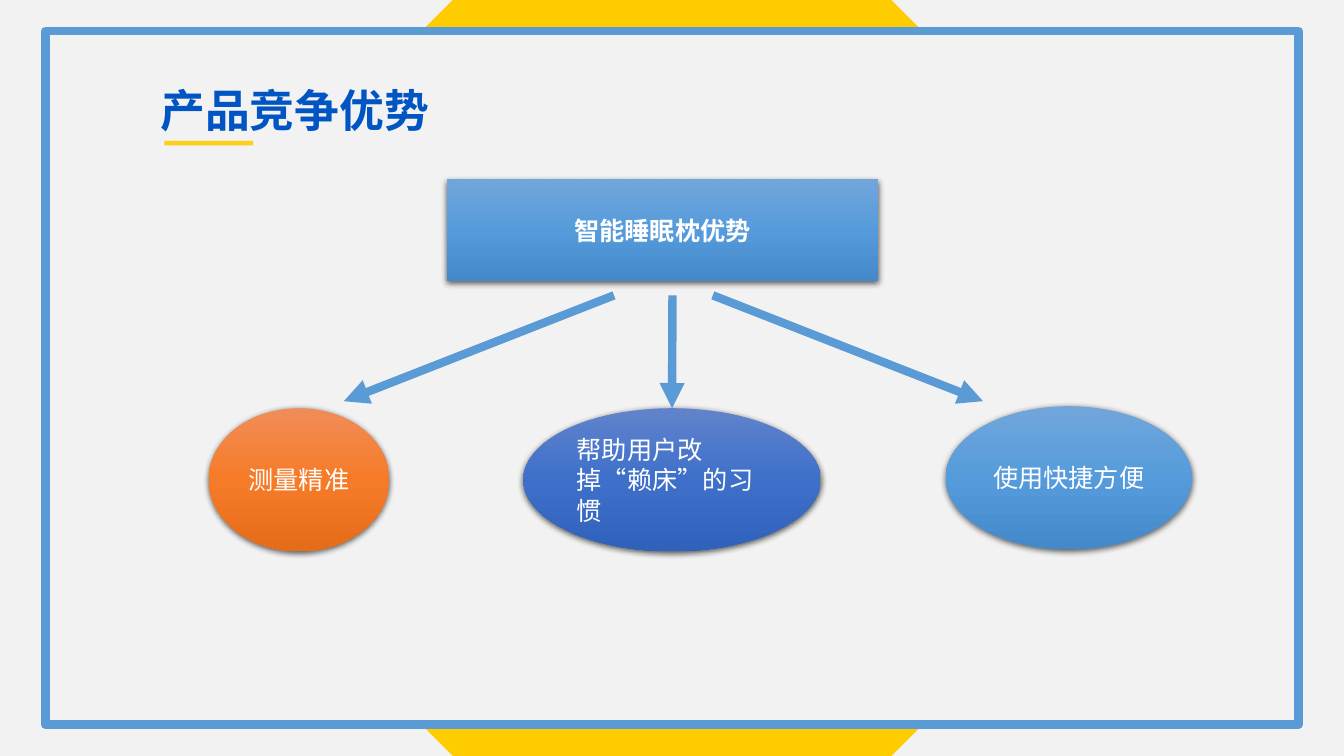
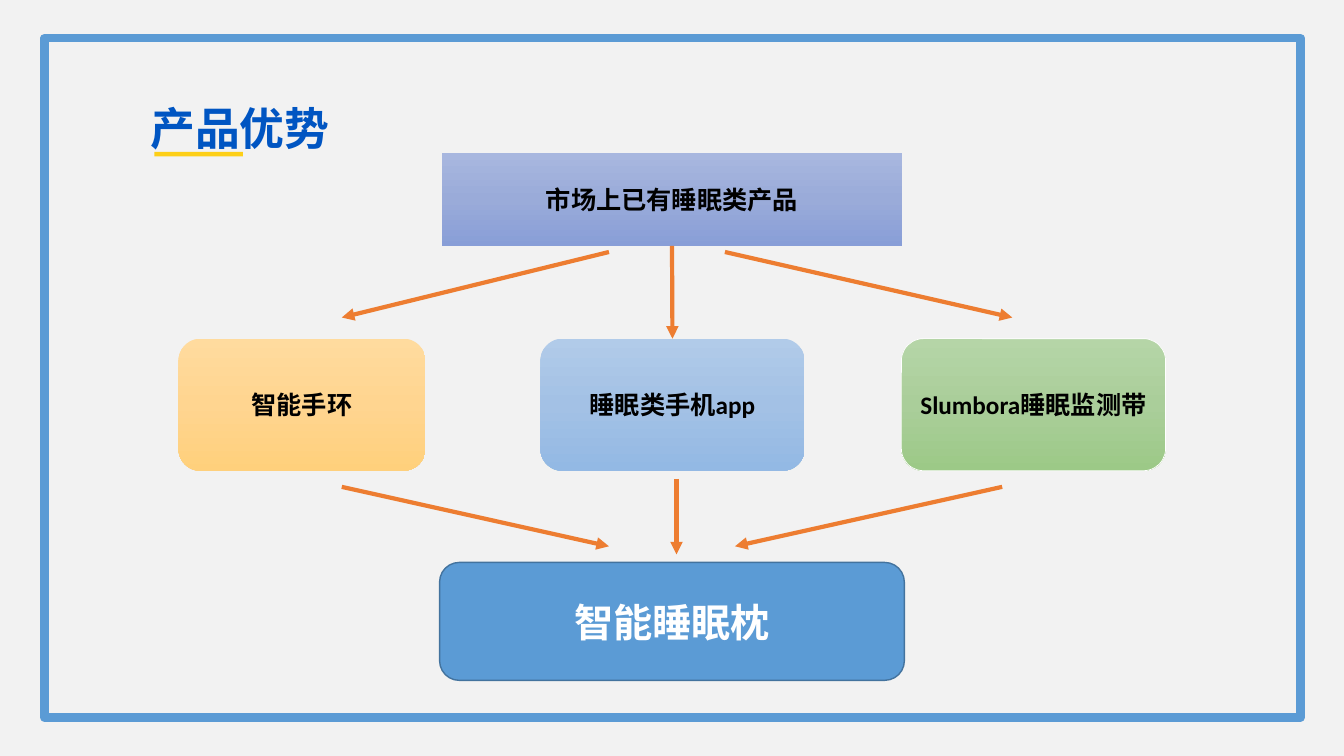
from copy import deepcopy

from lxml import etree
from pptx import Presentation
from pptx.dml.color import RGBColor
from pptx.enum.shapes import MSO_CONNECTOR, MSO_SHAPE
from pptx.enum.text import MSO_ANCHOR, PP_ALIGN
from pptx.oxml.ns import qn
from pptx.util import Inches, Pt

RECT = MSO_SHAPE.RECTANGLE
ROUND = MSO_SHAPE.ROUNDED_RECTANGLE
OVAL = MSO_SHAPE.OVAL
STRAIGHT = MSO_CONNECTOR.STRAIGHT
MIDDLE = MSO_ANCHOR.MIDDLE
LEFT, CENTER = PP_ALIGN.LEFT, PP_ALIGN.CENTER
TOP_SITE, BOTTOM_SITE = 0, 2

LATIN, CJK = "Calibri", "Noto Sans CJK SC"
COLORS = {
    "paper": "F2F2F2",
    "yellow": "FFCC00",
    "blue": "5B9BD5",
    "blue_edge": "43739E",
    "title": "0055C2",
    "orange": "ED7D31",
    "white": "FFFFFF",
    "black": "000000",
}
GRADIENTS = {
    "vivid_orange": ("F18C57", "F67B28", "E56C19"),
    "vivid_navy": ("6183CB", "3E70CA", "3062BB"),
    "vivid_blue": ("71A6DB", "559BDB", "448ACA"),
    "soft_gold": ("FFDB9E", "FFD590", "FFD07C"),
    "soft_blue": ("B1CBE9", "A3C1E5", "93B9E4"),
    "soft_green": ("B5D5A7", "AACE9A", "9CC987"),
    "soft_navy": ("A8B7DF", "9AABD9", "889ED7"),
}


def rgb(name):
    """Return the palette colour with this name."""
    return RGBColor.from_string(COLORS[name])


def add_child(parent, tag, **attributes):
    """Append a DrawingML element to the parent."""
    return etree.SubElement(parent, qn(tag), attributes)


def paint(shape, fill, edge=None, width=1):
    """Give a shape a flat or graded fill and an optional outline."""
    shape.shadow.inherit = False
    if fill in GRADIENTS:
        shape.fill.gradient()
        shape.fill.gradient_angle = 270
        stops = next(shape._element.spPr.iter(qn("a:gsLst")))
        stops.append(deepcopy(stops[0]))
        for index, stop in enumerate(shape.fill.gradient_stops):
            stop.color.rgb = RGBColor.from_string(GRADIENTS[fill][index])
            stop.position = index / 2
    else:
        shape.fill.solid()
        shape.fill.fore_color.rgb = rgb(fill)
    if edge:
        shape.line.color.rgb = rgb(edge)
        shape.line.width = Pt(width)
    else:
        shape.line.fill.background()


def add_shadow(shape):
    """Drop a soft black shadow below a shape."""
    effects = shape._element.spPr.find(qn("a:effectLst"))
    shadow = add_child(effects, "a:outerShdw", blurRad=str(Pt(4.5)),
                       dist=str(Pt(1.5)), dir="5400000", rotWithShape="0")
    color = add_child(shadow, "a:srgbClr", val=COLORS["black"])
    add_child(color, "a:alpha", val="63000")


def write(shape, text, color, size=18, bold=True, align=CENTER, latin=LATIN):
    """Put one vertically centred paragraph into a shape."""
    frame = shape.text_frame
    frame.word_wrap = True
    frame.vertical_anchor = MIDDLE
    para = frame.paragraphs[0]
    para.text = text
    para.alignment = align
    para.font.size = Pt(size)
    para.font.bold = bold
    para.font.name = latin
    para.font.color.rgb = rgb(color)
    add_child(para._p.pPr.find(qn("a:defRPr")), "a:ea", typeface=CJK)
    return para


def add_node(page, kind, bounds, fill, edge=None, width=1):
    """Add a painted preset shape."""
    node = page.shapes.add_shape(kind, *map(Inches, bounds))
    paint(node, fill, edge, width)
    return node


def add_line(page, start, end, color, width):
    """Add a straight line without shadow."""
    line = page.shapes.add_connector(STRAIGHT, *map(Inches, start + end))
    line.line.color.rgb = rgb(color)
    line.line.width = Pt(width)
    add_child(line._element.spPr, "a:effectLst")
    return line


def add_arrow(page, start, end, color, width):
    """Add a line with a triangle at its end."""
    arrow = add_line(page, start, end, color, width)
    add_child(arrow.line._get_or_add_ln(), "a:tailEnd", type="triangle")
    return arrow


def add_title(page, text, left, top, underline_y):
    """Add the slide title and its short yellow underline."""
    box = page.shapes.add_textbox(*map(Inches, (left, top, 10.68, 1.34)))
    frame = box.text_frame
    frame.margin_left = frame.margin_right = Inches(0.07)
    frame.margin_top = frame.margin_bottom = Inches(0.04)
    write(box, text, "title", 32, align=LEFT).line_spacing = 0.9
    start = left + 0.11
    rule = add_line(page, (start, underline_y), (start + 0.88, underline_y),
                    "yellow", 3.25)
    color = next(rule._element.spPr.iter(qn("a:srgbClr")))
    add_child(color, "a:alpha", val="90000")


def add_page(deck):
    """Add a blank slide with the shared background."""
    page = deck.slides.add_slide(deck.slide_layouts[6])
    page.background.fill.solid()
    page.background.fill.fore_color.rgb = rgb("paper")
    return page


def add_frame(page, bounds):
    """Add the blue frame around the content."""
    add_node(page, RECT, bounds, "paper", "blue", 6)


def add_hexagon(page):
    """Add the yellow hexagon that shows above and below the frame."""
    points = [(4.49, 0), (8.84, 0), (12.59, 3.75),
              (8.84, 7.5), (4.49, 7.5), (0.74, 3.75)]
    corners = [(Inches(x), Inches(y)) for x, y in points]
    builder = page.shapes.build_freeform(*corners[0])
    builder.add_line_segments(corners[1:], close=True)
    paint(builder.convert_to_shape(), "yellow")


def build_competition(deck):
    """Build the slide on competitive advantages."""
    page = add_page(deck)
    add_hexagon(page)
    add_frame(page, (0.45, 0.31, 12.43, 6.88))
    add_title(page, "产品竞争优势", 1.52, 0.45, 1.42)

    advantages = [
        ("测量精准", (2.07, 4.05, 1.79, 1.42), "vivid_orange", CENTER, LATIN),
        ("帮助用户改掉“赖床”的习惯", (5.19, 4.05, 2.95, 1.42), "vivid_navy", LEFT, CJK),
        ("使用快捷方便", (9.38, 4.03, 2.44, 1.42), "vivid_blue", CENTER, LATIN),
    ]
    ovals = []
    for text, bounds, fill, align, latin in advantages:
        oval = add_node(page, OVAL, bounds, fill)
        add_shadow(oval)
        write(oval, text, "white", bold=False, align=align, latin=latin)
        ovals.append(oval)

    heading = add_node(page, RECT, (4.43, 1.78, 4.28, 1.01), "vivid_blue")
    add_shadow(heading)
    write(heading, "智能睡眠枕优势", "white")

    for start_x, end_x in ((6.09, 3.41), (7.07, 9.75)):
        add_arrow(page, (start_x, 2.93), (end_x, 3.98), "blue", 6)
    middle = add_arrow(page, (6.67, 2.93), (6.67, 4.05), "blue", 6)
    middle.end_connect(ovals[1], TOP_SITE)


def build_products(deck):
    """Build the slide on existing products and the pillow."""
    page = add_page(deck)
    add_frame(page, (0.44, 0.38, 12.46, 6.74))
    add_title(page, "产品优势", 1.42, 0.63, 1.53)

    products = [
        ("智能手环", 1.77, 2.45, "soft_gold", None),
        ("睡眠类手机app", 5.36, 2.62, "soft_blue", None),
        ("Slumbora睡眠监测带", 8.94, 2.62, "soft_green", "white"),
    ]
    cards = []
    for text, left, width, fill, edge in products:
        card = add_node(page, ROUND, (left, 3.36, width, 1.31), fill, edge, 0.5)
        write(card, text, "black")
        cards.append(card)

    heading = add_node(page, RECT, (4.38, 1.52, 4.57, 0.92), "soft_navy")
    write(heading, "市场上已有睡眠类产品", "black")
    pillow = add_node(page, ROUND, (4.36, 5.58, 4.61, 1.17), "blue", "blue_edge")
    write(pillow, "智能睡眠枕", "white", 28)

    arrows = [
        ((6.04, 2.5), (3.39, 3.15)),
        ((7.19, 2.5), (10.04, 3.15)),
        ((3.39, 4.83), (6.04, 5.42)),
        ((9.94, 4.83), (7.29, 5.42)),
        ((6.71, 4.75), (6.71, 5.5)),
    ]
    for start, end in arrows:
        add_arrow(page, start, end, "orange", 3)
    middle = add_arrow(page, (6.67, 2.44), (6.67, 3.36), "orange", 3)
    middle.begin_connect(heading, BOTTOM_SITE)
    middle.end_connect(cards[1], TOP_SITE)


def main():
    """Build the deck and save it."""
    deck = Presentation()
    deck.slide_width = Inches(13.33)
    deck.slide_height = Inches(7.5)
    build_competition(deck)
    build_products(deck)
    deck.save("out.pptx")


if __name__ == "__main__":
    main()
